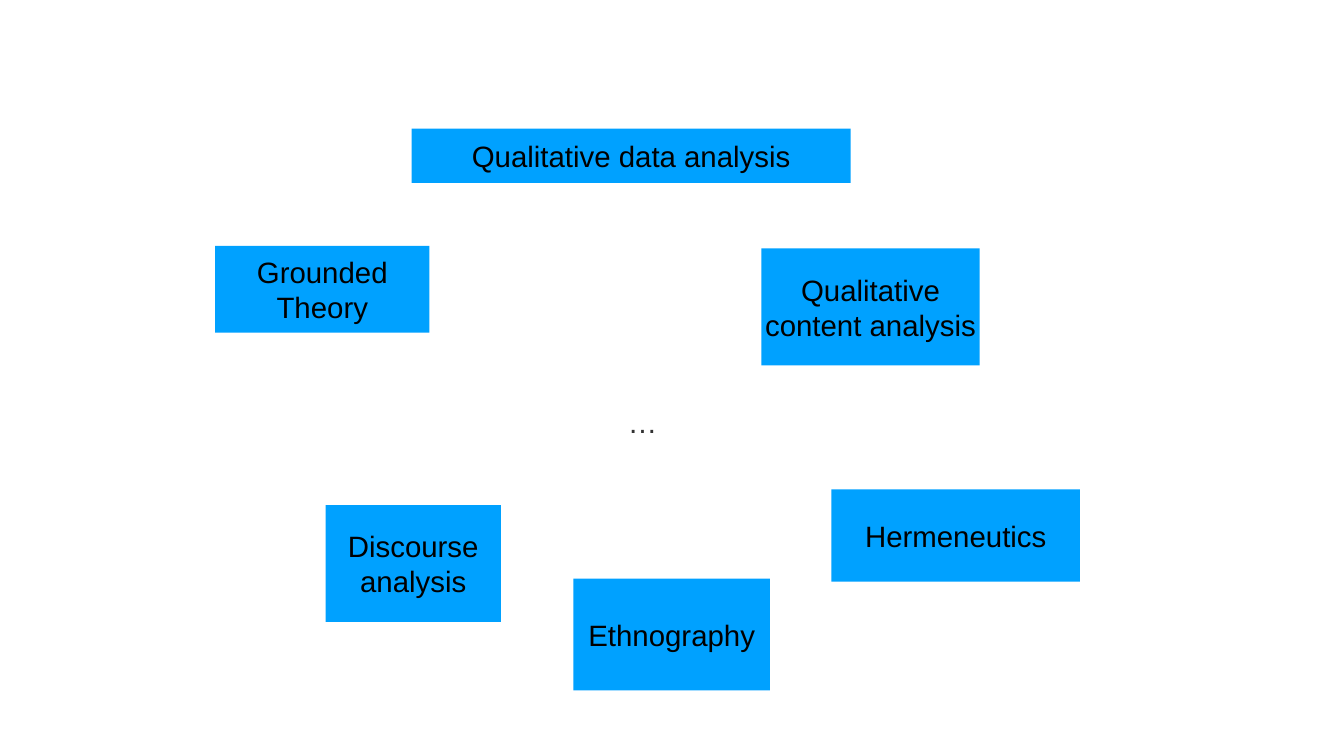
from dataclasses import dataclass

from pptx import Presentation
from pptx.dml.color import RGBColor
from pptx.enum.shapes import MSO_SHAPE
from pptx.enum.text import MSO_ANCHOR, MSO_AUTO_SIZE, PP_ALIGN
from pptx.shapes.autoshape import Shape
from pptx.slide import Slide
from pptx.util import Inches, Pt

BLUE = RGBColor(0x00, 0xA1, 0xFF)
BLACK = RGBColor(0x00, 0x00, 0x00)
DARK_GREY = RGBColor(0x32, 0x32, 0x32)


@dataclass(frozen=True)
class Box:
    text: str
    left: float
    top: float
    width: float
    height: float


TOPIC = Box("Qualitative data analysis", 8.17, 2.55, 8.71, 1.08)
METHODS = [
    Box("Grounded Theory", 4.27, 4.88, 4.25, 1.72),
    Box("Qualitative content analysis", 15.11, 4.93, 4.33, 2.32),
    Box("Discourse analysis", 6.46, 10.02, 3.48, 2.32),
    Box("Ethnography", 11.38, 11.48, 3.9, 2.22),
    Box("Hermeneutics", 16.5, 9.71, 4.93, 1.83),
]
MORE = Box("…", 12.46, 8.01, 0.6, 0.65)


def place(shape: Shape, box: Box) -> None:
    shape.left, shape.top = Inches(box.left), Inches(box.top)
    shape.width, shape.height = Inches(box.width), Inches(box.height)


def write(shape: Shape, text: str, color: RGBColor, inset: float,
          align: PP_ALIGN, anchor: MSO_ANCHOR, wrap: bool) -> None:
    frame = shape.text_frame
    frame.text = text
    frame.auto_size = MSO_AUTO_SIZE.NONE if wrap else MSO_AUTO_SIZE.SHAPE_TO_FIT_TEXT
    frame.word_wrap = wrap
    frame.vertical_anchor = anchor
    frame.margin_left = frame.margin_right = Inches(inset)
    frame.margin_top = frame.margin_bottom = Inches(inset)
    paragraph = frame.paragraphs[0]
    paragraph.alignment = align
    font = paragraph.runs[0].font
    font.name, font.size = "Arial", Pt(42)
    font.color.rgb = color


def style_box(shape: Shape, box: Box) -> None:
    place(shape, box)
    shape.fill.solid()
    shape.fill.fore_color.rgb = BLUE
    shape.line.fill.background()
    write(shape, box.text, BLACK, 0.05, PP_ALIGN.CENTER, MSO_ANCHOR.MIDDLE, True)


def add_method(slide: Slide, box: Box) -> None:
    method = slide.shapes.add_shape(MSO_SHAPE.RECTANGLE, 0, 0, 0, 0)
    method.shadow.inherit = False
    style_box(method, box)


def add_more(slide: Slide, box: Box) -> None:
    more = slide.shapes.add_textbox(0, 0, 0, 0)
    place(more, box)
    write(more, box.text, DARK_GREY, 0, PP_ALIGN.LEFT, MSO_ANCHOR.TOP, False)


def main() -> None:
    presentation = Presentation()
    presentation.slide_width = Inches(26.67)
    presentation.slide_height = Inches(15)
    slide = presentation.slides.add_slide(presentation.slide_layouts[5])

    # Topic at the top
    style_box(slide.shapes.title, TOPIC)

    # Methods around the centre
    for method in METHODS:
        add_method(slide, method)

    # Ellipsis for further methods
    add_more(slide, MORE)

    presentation.save("out.pptx")


if __name__ == "__main__":
    main()
